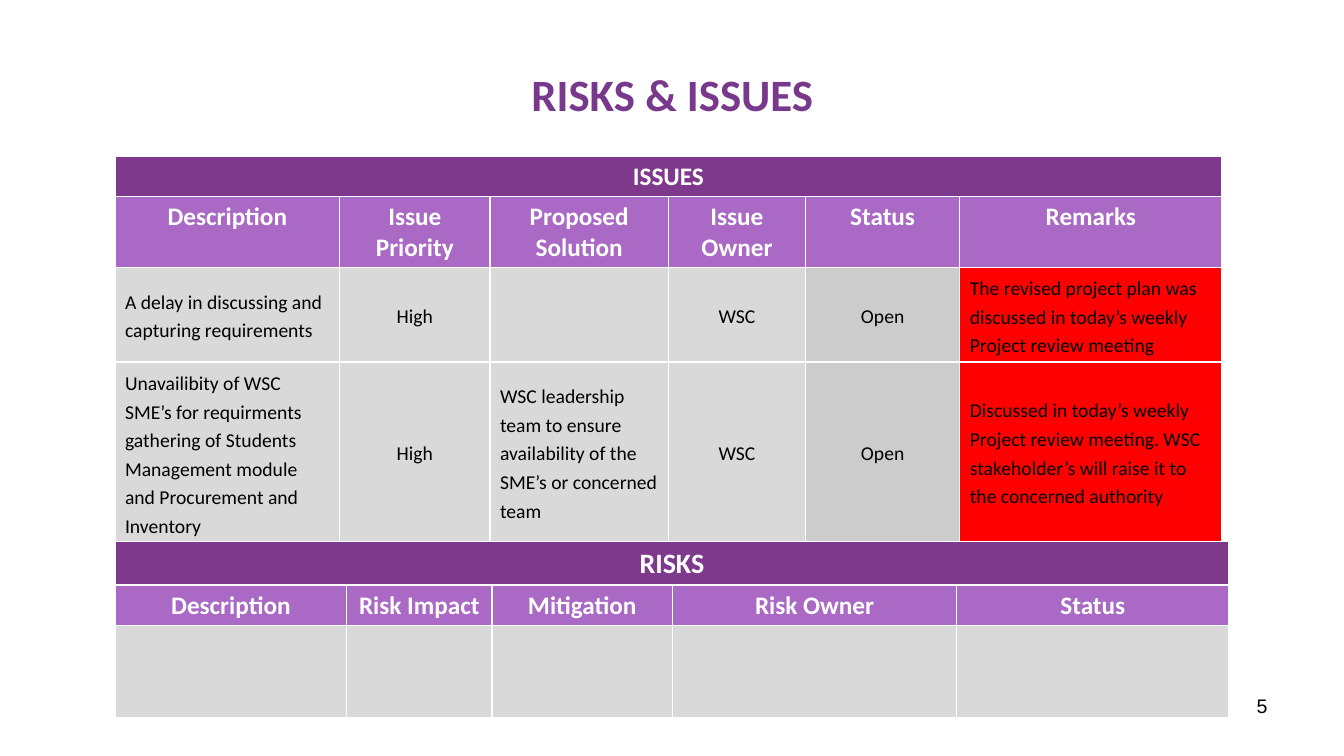
from lxml.etree import SubElement
from pptx import Presentation
from pptx.dml.color import RGBColor
from pptx.enum.text import MSO_ANCHOR as Anchor, PP_ALIGN as Align
from pptx.oxml.ns import qn
from pptx.util import Inches, Pt

TITLE = "RISKS & ISSUES"
PAGE = "5"
ISSUES = {
    "heading": "ISSUES",
    "heading_size": 18,
    "top": 1.55,
    "columns": [
        ("Description", 2.23), ("Issue Priority", 1.49),
        ("Proposed Solution", 1.77), ("Issue Owner", 1.36),
        ("Status", 1.53), ("Remarks", 2.6),
    ],
    "heights": [0.4, 0.4, 0.88, 0.55],
    "entries": [
        ("A delay in discussing and capturing requirements", "High", "",
         "WSC", "Open",
         "The revised project plan was discussed in today’s weekly "
         "Project review meeting"),
        ("Unavailibity of WSC SME’s for requirments gathering of Students "
         "Management module and Procurement and Inventory", "High",
         "WSC leadership team to ensure availability of the SME’s or "
         "concerned team", "WSC", "Open",
         "Discussed in today’s weekly Project review meeting. WSC "
         "stakeholder’s will raise it to the concerned authority"),
    ],
}
RISKS = {
    "heading": "RISKS",
    "heading_size": 20,
    "top": 5.37,
    "columns": [
        ("Description", 2.3), ("Risk Impact", 1.44), ("Mitigation", 1.79),
        ("Risk Owner", 2.82), ("Status", 2.7),
    ],
    "heights": [0.43, 0.4, 0.91],
    "entries": [("",) * 5],
}
TABLE_LEFT = 1.14
CENTRED = {"Issue Priority", "Issue Owner", "Status"}
WHITE, BLACK = "FFFFFF", "000000"
TITLE_PURPLE, DARK_PURPLE, LIGHT_PURPLE = "78398D", "7F398C", "A969C4"
GREY, STATUS_GREY, RED = "D9D9D9", "CCCCCC", "FF0000"


def colour(value):
    return RGBColor.from_string(value)


def write(frame, text, size, ink, bold=False, align=Align.CENTER, font="Calibri"):
    frame.text = text
    line = frame.paragraphs[0]
    line.alignment = align
    for run in line.runs:
        run.font.name = font
        run.font.size = Pt(size)
        run.font.bold = bold
        run.font.color.rgb = colour(ink)
    return line


def paint(cell, fill):
    properties = cell._tc.get_or_add_tcPr()
    for side in ("a:lnL", "a:lnR", "a:lnT", "a:lnB"):
        border = SubElement(properties, qn(side), w=str(Pt(1)))
        SubElement(SubElement(border, qn("a:solidFill")), qn("a:srgbClr"), val=WHITE)
    cell.fill.solid()
    cell.fill.fore_color.rgb = colour(fill)


def add_log(slide, log, entry_fills):
    labels, widths = zip(*log["columns"])
    heights = log["heights"]
    table = slide.shapes.add_table(
        len(heights), len(widths), Inches(TABLE_LEFT), Inches(log["top"]),
        Inches(sum(widths)), Inches(sum(heights))).table
    table.first_row = table.horz_banding = False
    for column, width in zip(table.columns, widths):
        column.width = Inches(width)
    for row, height in zip(table.rows, heights):
        row.height = Inches(height)

    for c, label in enumerate(labels):
        paint(table.cell(0, c), DARK_PURPLE)
        paint(table.cell(1, c), LIGHT_PURPLE)
        write(table.cell(1, c).text_frame, label, 18, WHITE, True)
    heading = table.cell(0, 0)
    heading.merge(table.cell(0, len(labels) - 1))
    write(heading.text_frame, log["heading"], log["heading_size"], WHITE, True)

    for r, entry in enumerate(log["entries"], 2):
        for c, (label, text) in enumerate(zip(labels, entry)):
            cell = table.cell(r, c)
            paint(cell, entry_fills.get(label, GREY))
            if text:
                align = Align.CENTER if label in CENTRED else Align.LEFT
                line = write(cell.text_frame, text, 14, BLACK, align=align)
                line.line_spacing = 1.2
                cell.vertical_anchor = Anchor.MIDDLE


def main():
    deck = Presentation()
    deck.slide_width, deck.slide_height = Inches(13.33), Inches(7.5)
    slide = deck.slides.add_slide(deck.slide_layouts[5])

    title = slide.shapes.title
    title.left, title.top = Inches(0.67), Inches(0.3)
    title.width, title.height = Inches(12), Inches(1.25)
    write(title.text_frame, TITLE, 32, TITLE_PURPLE, True)
    title.text_frame.vertical_anchor = Anchor.MIDDLE

    page = slide.shapes.add_textbox(
        Inches(9.56), Inches(6.83), Inches(3.11), Inches(0.52)).text_frame
    page.word_wrap = True
    write(page, PAGE, 14, BLACK, align=Align.RIGHT, font="Arial")

    add_log(slide, ISSUES, {"Status": STATUS_GREY, "Remarks": RED})
    add_log(slide, RISKS, {})
    deck.save("out.pptx")


if __name__ == "__main__":
    main()
